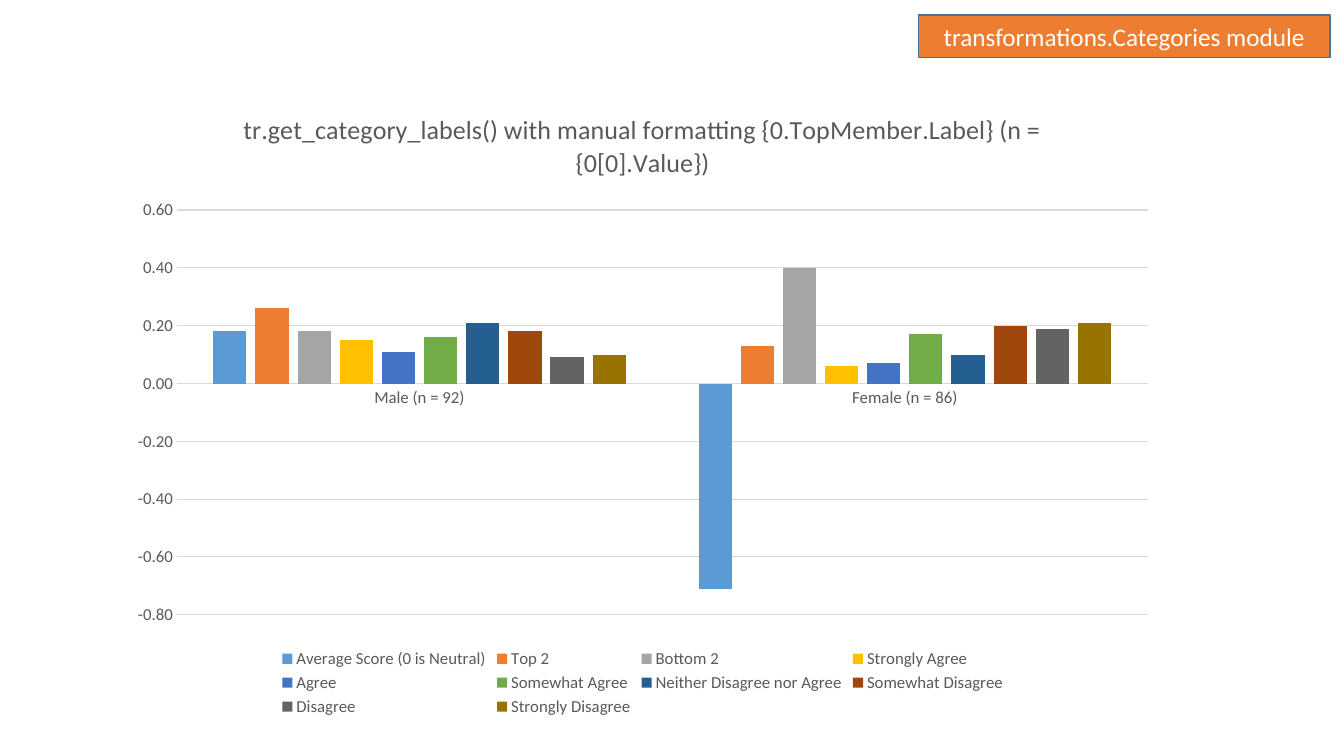
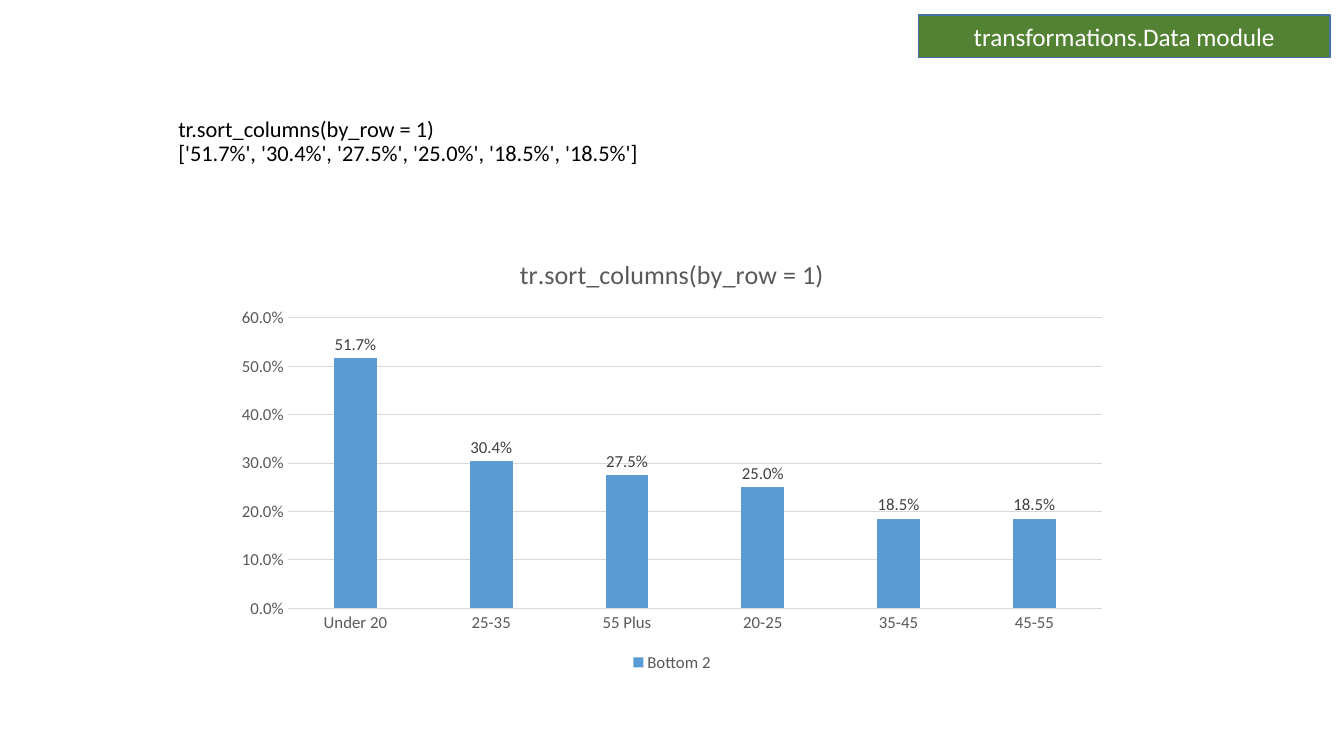
import pptx
import pptx.util
import pptx.chart.data
import pptx.dml.color
import pptx.enum.chart
import pptx.enum.shapes
import pptx.enum.text

Inches, Pt = pptx.util.Inches, pptx.util.Pt
RGBColor = pptx.dml.color.RGBColor
Kind = pptx.enum.chart.XL_CHART_TYPE
Tick = pptx.enum.chart.XL_TICK_MARK
Place = pptx.enum.chart.XL_LEGEND_POSITION
Label = pptx.enum.chart.XL_LABEL_POSITION
Shape = pptx.enum.shapes.MSO_SHAPE
Align = pptx.enum.text.PP_ALIGN
Anchor = pptx.enum.text.MSO_ANCHOR

FONT = "Calibri"
WHITE = RGBColor(0xFF, 0xFF, 0xFF)
BLACK = RGBColor(0x00, 0x00, 0x00)
GREY = RGBColor(0x59, 0x59, 0x59)
DARK = RGBColor(0x40, 0x40, 0x40)
RULE = RGBColor(0xD9, 0xD9, 0xD9)
EDGE = RGBColor(0x43, 0x73, 0x9E)
ORANGE = RGBColor(0xED, 0x7D, 0x31)
GREEN = RGBColor(0x54, 0x82, 0x35)
SERIES = [RGBColor.from_string(code) for code in (
    "5B9BD5", "ED7D31", "A5A5A5", "FFC000", "4472C4",
    "70AD47", "255E91", "9E480E", "636363", "997300")]

# Content
SLIDES = [
    {
        "tag": ("transformations.Categories module", ORANGE),
        "chart": {
            "title": "tr.get_category_labels() with manual formatting "
                     "{0.TopMember.Label} (n = {0[0].Value})",
            "box": (1.16, 0.88, 10.43, 6.27),
            "format": "0.00",
            "scale": (-0.8, 0.6, 0.2),
            "labels": False,
            "groups": ["Male (n = 92)", "Female (n = 86)"],
            "series": [
                ("Average Score (0 is Neutral)", (0.18, -0.71)),
                ("Top 2", (0.26, 0.13)),
                ("Bottom 2", (0.18, 0.40)),
                ("Strongly Agree", (0.15, 0.06)),
                ("Agree", (0.11, 0.07)),
                ("Somewhat Agree", (0.16, 0.17)),
                ("Neither Disagree nor Agree", (0.21, 0.10)),
                ("Somewhat Disagree", (0.18, 0.20)),
                ("Disagree", (0.09, 0.19)),
                ("Strongly Disagree", (0.10, 0.21)),
            ],
        },
    },
    {
        "tag": ("transformations.Data module", GREEN),
        "note": "tr.sort_columns(by_row = 1)\v"
                "['51.7%', '30.4%', '27.5%', '25.0%', '18.5%', '18.5%']",
        "chart": {
            "title": "tr.sort_columns(by_row = 1)",
            "box": (2.22, 2.35, 8.89, 4.36),
            "format": "0.0%",
            "scale": (0, 0.6, 0.1),
            "labels": True,
            "groups": ["Under 20", "25-35", "55 Plus",
                       "20-25", "35-45", "45-55"],
            "series": [
                ("Bottom 2", (0.517, 0.304, 0.275, 0.25, 0.185, 0.185)),
            ],
        },
    },
]


def style(font, size, color):
    font.name, font.size, font.bold = FONT, Pt(size), False
    font.color.rgb = color


def fill_text(frame, text, size, color, align, anchor):
    frame.word_wrap = True
    frame.vertical_anchor = anchor
    frame.text = text
    para = frame.paragraphs[0]
    para.alignment = align
    for run in para.runs:
        style(run.font, size, color)
    return para


def add_tag(slide, text, color):
    tag = slide.shapes.add_shape(
        Shape.RECTANGLE, *map(Inches, (9.11, 0.15, 4.08, 0.42)))
    tag.shadow.inherit = False
    tag.fill.solid()
    tag.fill.fore_color.rgb = color
    tag.line.color.rgb = EDGE
    tag.line.width = Pt(1)
    fill_text(tag.text_frame, text, 18, WHITE, Align.CENTER, Anchor.MIDDLE)


def add_note(slide, text):
    box = slide.shapes.add_textbox(*map(Inches, (1.67, 0.94, 10, 0.76)))
    para = fill_text(box.text_frame, text, 16, BLACK,
                     Align.LEFT, Anchor.BOTTOM)
    para.line_spacing = 0.9


def add_bars(slide, spec):
    data = pptx.chart.data.CategoryChartData(number_format=spec["format"])
    data.categories = spec["groups"]
    for name, values in spec["series"]:
        data.add_series(name, values)
    chart = slide.shapes.add_chart(
        Kind.COLUMN_CLUSTERED, *map(Inches, spec["box"]), data).chart
    style(chart.font, 10, BLACK)

    # Title and legend
    chart.has_title = True
    title = chart.chart_title.text_frame
    title.text = spec["title"]
    style(title.paragraphs[0].runs[0].font, 18.6, GREY)
    chart.has_legend = True
    chart.legend.position = Place.BOTTOM
    chart.legend.include_in_layout = False
    style(chart.legend.font, 12, GREY)

    # Axes
    across, up = chart.category_axis, chart.value_axis
    for axis in (across, up):
        axis.major_tick_mark = axis.minor_tick_mark = Tick.NONE
        style(axis.tick_labels.font, 12, GREY)
    up.has_major_gridlines = True
    for line in (across.format.line, up.major_gridlines.format.line):
        line.color.rgb = RULE
        line.width = Pt(0.75)
    up.format.line.fill.background()
    up.minimum_scale, up.maximum_scale, up.major_unit = spec["scale"]
    up.tick_labels.number_format = spec["format"]
    up.tick_labels.number_format_is_linked = False

    # Columns
    plot = chart.plots[0]
    plot.gap_width, plot.overlap = 219, -27
    plot.vary_by_categories = False
    for bar, color in zip(plot.series, SERIES):
        bar.invert_if_negative = False
        bar.format.fill.solid()
        bar.format.fill.fore_color.rgb = color
    if spec["labels"]:
        plot.has_data_labels = True
        labels = plot.data_labels
        labels.show_value = True
        labels.position = Label.OUTSIDE_END
        labels.number_format = spec["format"]
        labels.number_format_is_linked = False
        style(labels.font, 12, DARK)


def main():
    deck = pptx.Presentation()
    deck.slide_width, deck.slide_height = Inches(13.33), Inches(7.5)
    for page in SLIDES:
        slide = deck.slides.add_slide(deck.slide_layouts[6])
        if "note" in page:
            add_note(slide, page["note"])
        add_bars(slide, page["chart"])
        add_tag(slide, *page["tag"])
    deck.save("out.pptx")


if __name__ == "__main__":
    main()
